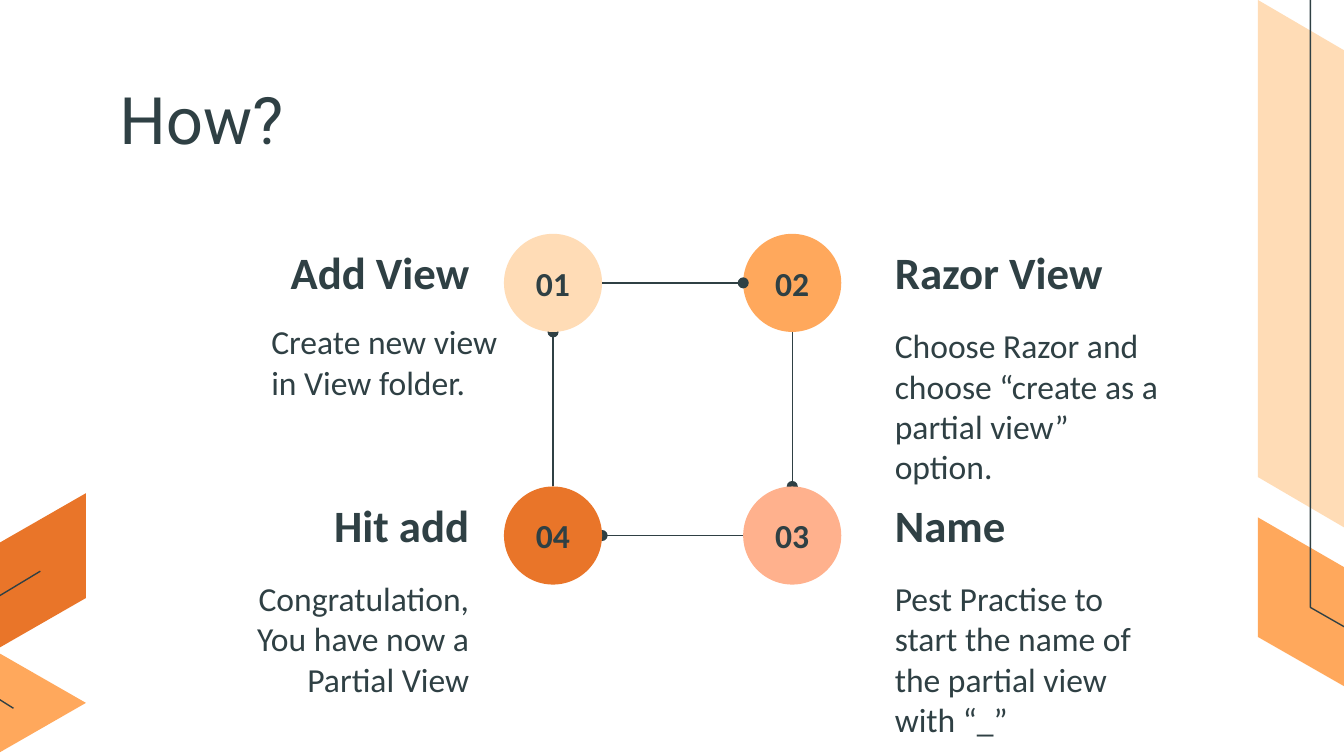
import pptx
import pptx.util
import pptx.dml.color
import pptx.enum.shapes
import pptx.enum.text
import pptx.oxml.ns
import lxml.etree

Inches = pptx.util.Inches
ALIGN = pptx.enum.text.PP_ALIGN
ANCHOR = pptx.enum.text.MSO_ANCHOR
COLOURS = {
    "ink": "2F4044",
    "cream": "FFDCB6",
    "amber": "FFA85C",
    "salmon": "FFB18D",
    "orange": "E97529",
}

# Widescreen page, 16:9
deck = pptx.Presentation()
deck.slide_width = Inches(10)
deck.slide_height = Inches(10 * 9 / 16)
page = deck.slides.add_slide(deck.slide_layouts[6])


def colour(name):
    return pptx.dml.color.RGBColor.from_string(COLOURS[name])


def write(box, text, size, align=ALIGN.LEFT, anchor=ANCHOR.TOP,
          bold=False, font="Calibri", top_inset=0.1):
    frame = box.text_frame
    layout = {
        "word_wrap": True,
        "vertical_anchor": anchor,
        "margin_left": Inches(0.1),
        "margin_right": Inches(0.1),
        "margin_top": Inches(top_inset),
        "margin_bottom": Inches(0.1),
    }
    for name, value in layout.items():
        setattr(frame, name, value)
    paragraph = frame.paragraphs[0]
    paragraph.alignment = align
    span = paragraph.add_run()
    span.text = text
    style = {"name": font, "size": pptx.util.Pt(size), "bold": bold}
    for name, value in style.items():
        setattr(span.font, name, value)
    span.font.color.rgb = colour("ink")


# Side decoration: filled panels, and open outlines where the fill is None
decoration = [
    ("cream", [(9.36, 0), (9.36, 3.55), (10.13, 4), (10.13, 0.45)]),
    ("amber", [(9.36, 3.85), (10.9, 4.74), (10.9, 5.62), (9.36, 4.74)]),
    (None, [(9.75, 0), (9.75, 4.52), (11.36, 5.44)]),
    ("orange", [(-0.04, 4.06), (0.64, 3.67), (0.64, 4.45), (-0.04, 4.84)]),
    ("amber", [(-0.04, 5.62), (-0.72, 5.23), (-0.04, 4.84), (0.64, 5.23)]),
    (None, [(0.1, 5.27), (-0.33, 5), (-0.33, 4.63), (0.3, 4.25)]),
]
for fill, corners in decoration:
    points = [(Inches(x), Inches(y)) for x, y in corners]
    builder = page.shapes.build_freeform(*points[0])
    builder.add_line_segments(points[1:], close=fill is not None)
    shape = builder.convert_to_shape()
    shape.shadow.inherit = False
    if fill:
        shape.fill.solid()
        shape.fill.fore_color.rgb = colour(fill)
        shape.line.fill.background()
    else:
        shape.fill.background()
        shape.line.color.rgb = colour("ink")
        shape.line.width = pptx.util.Pt(0.75)

# Title
title = page.shapes.add_textbox(Inches(0.79), Inches(0.59), Inches(8.43), Inches(0.57))
write(title, "How?", 35, font="Roboto", top_inset=0)

# Cycle of four steps: each dot covers the end of the line that reaches it
LEFT, RIGHT, TOP, BOTTOM = 3.75, 5.53, 1.74, 3.62
DIAMETER = 0.73
RADIUS = DIAMETER / 2
TEXT_LEFT = {LEFT: 1.42, RIGHT: 6.56}
TEXT_WIDTH, HEADING_HEIGHT = 2.17, 0.58

# number, fill, x, y, direction of the line, heading, body
steps = [
    ("02", "amber", RIGHT, TOP, (0, 1), "Razor View",
     "Choose Razor and choose “create as a partial view” option."),
    ("03", "salmon", RIGHT, BOTTOM, (-1, 0), "Name",
     "Pest Practise to start the name of the partial view with “_”"),
    ("04", "orange", LEFT, BOTTOM, (0, -1), "Hit add",
     "Congratulation, You have now a Partial View"),
    ("01", "cream", LEFT, TOP, (1, 0), "Add View",
     "Create new view in View folder."),
]
for number, fill, x, y, (across, down), heading, body in steps:
    # Numbered dot
    dot = page.shapes.add_shape(
        pptx.enum.shapes.MSO_SHAPE.OVAL,
        Inches(x), Inches(y), Inches(DIAMETER), Inches(DIAMETER))
    dot.shadow.inherit = False
    dot.fill.solid()
    dot.fill.fore_color.rgb = colour(fill)
    dot.line.fill.background()
    write(dot, number, 18, ALIGN.CENTER, ANCHOR.MIDDLE, bold=True)

    # Heading and body
    side = ALIGN.RIGHT if x == LEFT else ALIGN.LEFT
    heading_box = page.shapes.add_textbox(
        Inches(TEXT_LEFT[x]), Inches(y), Inches(TEXT_WIDTH), Inches(HEADING_HEIGHT))
    write(heading_box, heading, 24, side, ANCHOR.BOTTOM, bold=True)
    place, body_align, inset = (TEXT_LEFT[x], y + HEADING_HEIGHT, TEXT_WIDTH, 0.69), side, 0.1
    if number == "01":
        place, body_align, inset = (1.92, 2.34, 2.01, 0.71), ALIGN.LEFT, 0.05
    body_box = page.shapes.add_textbox(*[Inches(length) for length in place])
    write(body_box, body, 18, body_align, top_inset=inset)

    # Line to the next dot, edge to edge
    start_x = x + RADIUS * (1 + across)
    start_y = y + RADIUS * (1 + down)
    end_x = start_x + across * (RIGHT - LEFT - DIAMETER)
    end_y = start_y + down * (BOTTOM - TOP - DIAMETER)
    link = page.shapes.add_connector(
        pptx.enum.shapes.MSO_CONNECTOR.STRAIGHT,
        Inches(start_x), Inches(start_y), Inches(end_x), Inches(end_y))
    link.line.color.rgb = colour("ink")
    link.line.width = pptx.util.Pt(0.75)
    properties = link.element.spPr
    outline = properties.find(pptx.oxml.ns.qn("a:ln"))
    lxml.etree.SubElement(outline, pptx.oxml.ns.qn("a:tailEnd"), type="oval")
    lxml.etree.SubElement(properties, pptx.oxml.ns.qn("a:effectLst"))

deck.save("out.pptx")
